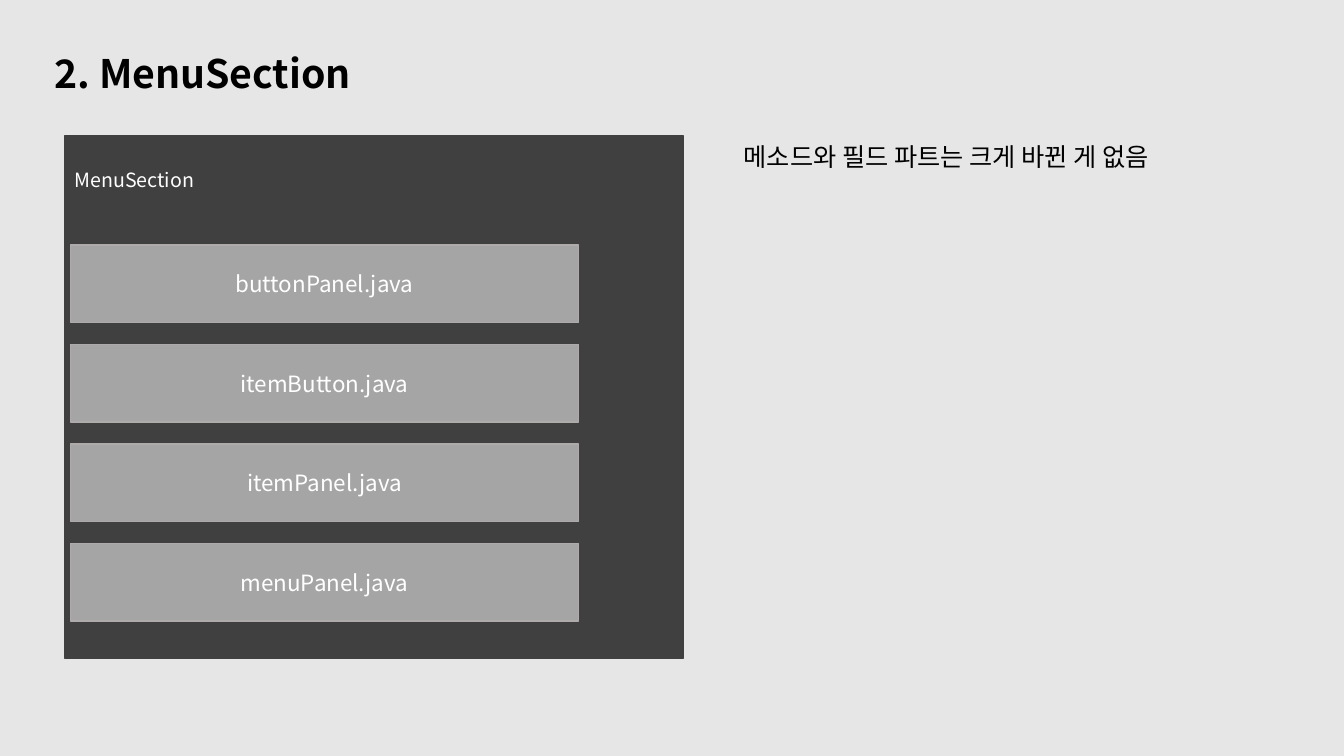
from pptx import Presentation
from pptx.dml.color import RGBColor
from pptx.enum.shapes import MSO_SHAPE
from pptx.enum.text import MSO_ANCHOR, MSO_AUTO_SIZE, PP_ALIGN
from pptx.oxml.ns import qn
from pptx.util import Inches, Pt
from lxml.etree import SubElement

FONT = "Noto Sans CJK KR"
BACKGROUND = RGBColor(0xE7, 0xE6, 0xE6)
PANEL = RGBColor(0x40, 0x40, 0x40)
FILE_FILL = RGBColor(0xA5, 0xA5, 0xA5)
FILE_LINE = RGBColor(0xAF, 0xAB, 0xAB)
WHITE = RGBColor(0xFF, 0xFF, 0xFF)
BLACK = RGBColor(0, 0, 0)

WIDTH, HEIGHT = Inches(13.33), Inches(7.5)
COLUMN, ROW = WIDTH / 100, HEIGHT / 100
FILES = ("buttonPanel.java", "itemButton.java", "itemPanel.java", "menuPanel.java")
FIRST_FILE_ROW, FILE_STEP = 32.4, 13.16


def grid(column, row, columns, rows):
    """Turn a cell range of the 100 by 100 grid into slide lengths."""
    return int(column * COLUMN), int(row * ROW), int(columns * COLUMN), int(rows * ROW)


def write(shape, text, size, color=BLACK, bold=False,
          align=PP_ALIGN.LEFT, anchor=MSO_ANCHOR.TOP):
    """Fill a shape with one formatted paragraph."""
    frame = shape.text_frame
    frame.word_wrap = True
    frame.auto_size = MSO_AUTO_SIZE.NONE
    frame.vertical_anchor = anchor
    paragraph = frame.paragraphs[0]
    paragraph.alignment = align
    run = paragraph.add_run()
    run.text = text
    run.font.size = Pt(size)
    run.font.bold = bold
    run.font.color.rgb = color
    run.font.name = FONT
    SubElement(run.font._element, qn("a:ea"), typeface=FONT)


def add_title(slide, text, area):
    """Move the title placeholder to its area and write it."""
    title = slide.shapes.title
    title.left, title.top, title.width, title.height = area
    write(title, text, 28, bold=True)


def add_text(slide, text, area, **text_format):
    """Add a text box."""
    write(slide.shapes.add_textbox(*area), text, **text_format)


def add_box(slide, area, fill, line):
    """Add a flat rectangle with a thin outline."""
    box = slide.shapes.add_shape(MSO_SHAPE.RECTANGLE, *area)
    box.shadow.inherit = False
    box.fill.solid()
    box.fill.fore_color.rgb = fill
    box.line.color.rgb = line
    box.line.width = Pt(1)
    return box


def add_file(slide, name, index):
    """Add the box of one source file at its place in the stack."""
    area = grid(5.25, FIRST_FILE_ROW + index * FILE_STEP, 37.8, 10.27)
    box = add_box(slide, area, FILE_FILL, FILE_LINE)
    write(box, name, 16, color=WHITE, align=PP_ALIGN.CENTER, anchor=MSO_ANCHOR.MIDDLE)


def main():
    """Build and save the MenuSection slide."""
    presentation = Presentation()
    presentation.slide_width, presentation.slide_height = WIDTH, HEIGHT
    slide = presentation.slides.add_slide(presentation.slide_layouts[5])
    slide.background.fill.solid()
    slide.background.fill.fore_color.rgb = BACKGROUND

    add_title(slide, "2. MenuSection", grid(3.3, 5.87, 30, 7.6))
    add_box(slide, grid(4.8, 18, 46.06, 69.07), PANEL, PANEL)
    add_text(slide, "MenuSection", grid(4.8, 21.6, 33.75, 11), size=14, color=WHITE)
    for index, name in enumerate(FILES):
        add_file(slide, name, index)
    add_text(slide, "메소드와 필드 파트는 크게 바뀐 게 없음", grid(54.6, 18, 43.28, 5.33), size=18)
    presentation.save("out.pptx")


if __name__ == "__main__":
    main()
